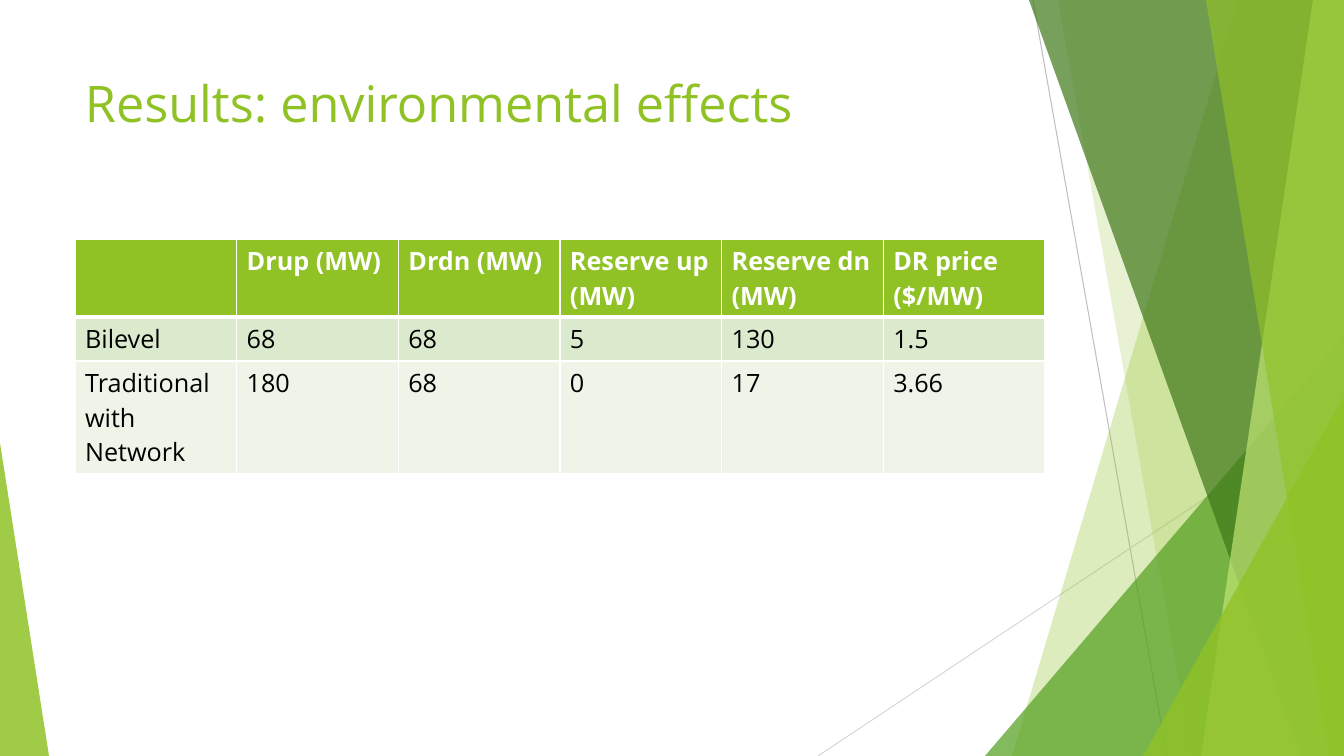
from itertools import pairwise

from lxml import etree
from pptx import Presentation
from pptx.dml.color import RGBColor
from pptx.enum.shapes import MSO_CONNECTOR, MSO_SHAPE
from pptx.enum.text import MSO_ANCHOR
from pptx.oxml.ns import qn
from pptx.util import Pt

PX = 914400 / 100.8
STRAIGHT = MSO_CONNECTOR.STRAIGHT
TRIANGLE = MSO_SHAPE.ISOSCELES_TRIANGLE
TOP = MSO_ANCHOR.TOP

WHITE = RGBColor(0xFF, 0xFF, 0xFF)
BLACK = RGBColor(0x00, 0x00, 0x00)
LIME = RGBColor(0x90, 0xC2, 0x26)
GREEN = RGBColor(0x54, 0xA0, 0x21)
FOREST = RGBColor(0x3F, 0x78, 0x19)
PALE_LIME = RGBColor(0xC0, 0xE4, 0x74)
GRAY = RGBColor(0xBF, 0xBF, 0xBF)
LIGHT_GRAY = RGBColor(0xD9, 0xD9, 0xD9)
BAND_DARK = RGBColor(0xDB, 0xE9, 0xCD)
BAND_LIGHT = RGBColor(0xEE, 0xF4, 0xE8)

FONT = "Open Sans"
RESULTS = [
    ["", "Drup (MW)", "Drdn (MW)", "Reserve up (MW)", "Reserve dn (MW)", "DR price ($/MW)"],
    ["Bilevel ", "68", "68", "5", "130", "1.5"],
    ["Traditional with Network", "180", "68", "0", "17", "3.66"],
]
ROW_HEIGHTS = [78, 44, 113]
ROW_STYLES = [(LIME, WHITE, True), (BAND_DARK, BLACK, False), (BAND_LIGHT, BLACK, False)]


def emu(*pixels):
    return [round(value * PX) for value in pixels]


def style_font(font, color, values):
    for name, value in values.items():
        setattr(font, name, value)
    font.color.rgb = color


def paint(shape, color, opacity):
    shape.shadow.inherit = False
    shape.line.fill.background()
    shape.fill.solid()
    shape.fill.fore_color.rgb = color
    tint = shape.fill._xPr.find(qn("a:solidFill"))[0]
    etree.SubElement(tint, qn("a:alpha")).set("val", str(opacity * 1000))


def add_ray(slide, start, end, color):
    ray = slide.shapes.add_connector(STRAIGHT, *emu(*start, *end))
    ray.line.color.rgb = color
    ray.line.width = Pt(0.75)
    etree.SubElement(ray._element.spPr, qn("a:effectLst"))


def add_blade(slide, box, top_x, bottom_x, color, opacity):
    left, top, width, height = box
    right, bottom = left + width, top + height
    outline = slide.shapes.build_freeform(left + top_x, top, scale=PX)
    outline.add_line_segments(
        [(right, top), (right, bottom), (left + bottom_x, bottom)], close=True)
    paint(outline.convert_to_shape(), color, opacity)


def add_wedge(slide, box, apex, color, opacity):
    wedge = slide.shapes.add_shape(TRIANGLE, *emu(*box))
    wedge.adjustments[0] = apex
    paint(wedge, color, opacity)


def add_corner_wedge(slide, box, width, height, color, opacity):
    left, top, box_width, box_height = box
    corner = (left + box_width - width, top + box_height - height, width, height)
    add_wedge(slide, corner, 1, color, opacity)


def add_facets(slide, box):
    left, top, width, height = box
    right, bottom = left + width, top + height
    add_ray(slide, (left + 215, top), (left + 349, bottom), GRAY)
    add_ray(slide, (right, top + 406), (left, bottom), LIGHT_GRAY)
    add_blade(slide, box, 420, 194, LIME, 30)
    add_blade(slide, box, 240, 374, LIME, 20)
    add_corner_wedge(slide, box, 359, 420, GREEN, 72)
    add_blade(slide, box, 211, 483, FOREST, 70)
    add_blade(slide, box, 495, 383, PALE_LIME, 70)
    add_blade(slide, box, 388, 511, LIME, 65)
    add_corner_wedge(slide, box, 201, 360, LIME, 80)


def add_title(slide, box):
    title = slide.shapes.add_textbox(*emu(*box)).text_frame
    for name, value in {"word_wrap": True, "vertical_anchor": TOP}.items():
        setattr(title, name, value)
    heading = title.paragraphs[0].add_run()
    heading.text = "Results: environmental effects"
    style_font(heading.font, LIME, {"name": FONT, "size": Pt(36)})


def add_border(cell, side, points):
    properties = cell._tc.get_or_add_tcPr()
    edge = etree.SubElement(properties, qn(f"a:{side}"), w=str(Pt(points)))
    fill = etree.SubElement(edge, qn("a:solidFill"))
    etree.SubElement(fill, qn("a:srgbClr"), val=str(WHITE))


def fill_cell(cell, text, row_index):
    fill, color, bold = ROW_STYLES[row_index]
    above = 3 if row_index == 1 else 1
    below = 3 if row_index == 0 else 1
    for side, points in {"lnL": 1, "lnR": 1, "lnT": above, "lnB": below}.items():
        add_border(cell, side, points)
    cell.fill.solid()
    cell.fill.fore_color.rgb = fill
    cell.text = text
    style_font(cell.text_frame.paragraphs[0].font, color,
               {"name": FONT, "size": Pt(18), "bold": bold})
    for run in cell.text_frame.paragraphs[0].runs:
        style_font(run.font, color, {"name": FONT, "size": Pt(18), "bold": bold})


def add_results(slide, box):
    count = len(RESULTS[0])
    table = slide.shapes.add_table(len(RESULTS), count, *emu(*box)).table
    edges = emu(*(box[2] * index / count for index in range(count + 1)))
    for column, (start, end) in zip(table.columns, pairwise(edges)):
        column.width = end - start
    for row, height in zip(table.rows, emu(*ROW_HEIGHTS)):
        row.height = height
    for row_index, texts in enumerate(RESULTS):
        for column_index, text in enumerate(texts):
            fill_cell(table.cell(row_index, column_index), text, row_index)


presentation = Presentation()
presentation.slide_width, presentation.slide_height = emu(1344, 756)
slide = presentation.slides.add_slide(presentation.slide_layouts[6])
add_facets(slide, (818, 0, 526, 756))
add_wedge(slide, (0, 443, 49, 313), 0, LIME, 85)
add_title(slide, (75, 67, 948, 145))
add_results(slide, (75, 239, 970, sum(ROW_HEIGHTS)))
presentation.save("out.pptx")
